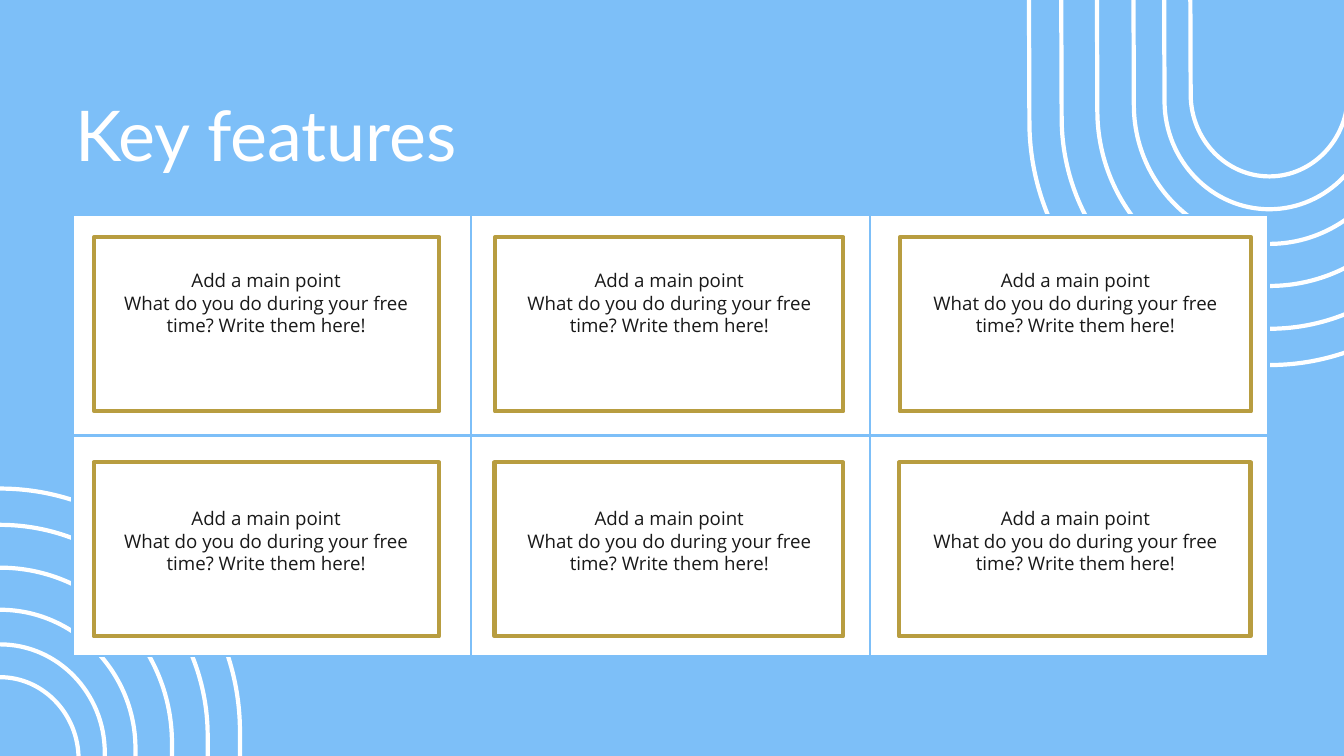
"""Build the "Key features" slide: six framed points on a grid between two sets of arches."""
from lxml.etree import SubElement
from pptx import Presentation
from pptx.dml.color import RGBColor
from pptx.enum.shapes import MSO_SHAPE
from pptx.enum.text import MSO_AUTO_SIZE, PP_ALIGN
from pptx.oxml import parse_xml
from pptx.oxml.ns import nsdecls, qn
from pptx.util import Cm, Pt

THEME = {
    "sky": "7DBFF8",
    "white": "FFFFFF",
    "gold": "B89D40",
    "line": Pt(4.5),
    "title": {
        "color": "FFFFFF",
        "inset": Cm(0),
        "font": {"name": "Lato", "size": Pt(75)},
        "para": {"line_spacing": 1.2, "alignment": PP_ALIGN.LEFT},
    },
    "point": {
        "color": "191919",
        "inset": Cm(0.25),
        "font": {"name": "Open Sans", "size": Pt(20)},
        "para": {"alignment": PP_ALIGN.CENTER},
    },
}
POINT = ["Add a main point", "What do you do during your free time? Write them here!"]


def write(place, lines, style):
    """Add a text box at a place in cm, with one paragraph per line."""
    frame = slide.shapes.add_textbox(*map(Cm, place)).text_frame
    pad = style["inset"]
    form = {"word_wrap": True, "auto_size": MSO_AUTO_SIZE.SHAPE_TO_FIT_TEXT}
    form |= {f"margin_{side}": pad for side in ("left", "top", "right", "bottom")}
    for key, value in form.items():
        setattr(frame, key, value)
    frame.text = "\n".join(lines)
    for para in frame.paragraphs:
        for key, value in style["para"].items():
            setattr(para, key, value)
        font = para.runs[0].font
        for key, value in style["font"].items():
            setattr(font, key, value)
        font.color.rgb = RGBColor.from_string(style["color"])


def trace(shape, color):
    """Leave a shape unfilled, with a plain outline and round corners."""
    shape.shadow.inherit = False
    shape.fill.background()
    shape.line.color.rgb = RGBColor.from_string(color)
    shape.line.width = THEME["line"]
    SubElement(shape.line._get_or_add_ln(), qn("a:round"))


deck = Presentation()
deck.slide_width, deck.slide_height = Cm(50.8), Cm(28.58)
slide = deck.slides.add_slide(deck.slide_layouts[6])
back = slide.background.fill
back.solid()
back.fore_color.rgb = RGBColor.from_string(THEME["sky"])

write((2.84, 2.82, 15.85, 3.2), ["Key features"], THEME["title"])

ARCHES = [(9.07, 14.75), (7.85, 13.38), (6.5, 11.76), (5.12, 10.17), (3.96, 8.86), (2.97, 7.62)]
ROUND = 0.45
for mid, base, turn in [(0, 33.22, 180), (47.96, -0.95, 359.8)]:
    for radius, half in ARCHES:
        left, right, top, low = map(Cm, (mid - radius, mid + radius, base - half, base + half))
        pen = slide.shapes.build_freeform(left, top)
        pen.add_line_segments([(right, top), (right, low), (left, low)], close=True)
        arch = pen.convert_to_shape()
        arch.rotation = turn
        trace(arch, THEME["white"])

        wide, tall, drop = 2 * radius, 2 * half, radius + 0.13
        bend, knee, pull = tall - drop, tall - ROUND * drop, ROUND * radius
        route = [
            ("moveTo", [(0, 0)]),
            ("lnTo", [(wide, 0)]),
            ("lnTo", [(wide, bend)]),
            ("cubicBezTo", [(wide, knee), (wide - pull, tall), (radius, tall)]),
            ("cubicBezTo", [(pull, tall), (0, knee), (0, bend)]),
            ("close", []),
        ]
        track = arch._element.find(f".//{qn('a:path')}")
        del track[:]
        for move, spots in route:
            step = SubElement(track, qn(f"a:{move}"))
            for x, y in spots:
                SubElement(step, qn("a:pt"), x=str(int(Cm(x))), y=str(int(Cm(y))))

grid = slide.shapes.add_table(2, 3, Cm(2.74), Cm(8.13), Cm(45.21), Cm(16.66)).table
for cell in grid.iter_cells():
    cell.fill.solid()
    cell.fill.fore_color.rgb = RGBColor.from_string(THEME["white"])
    for spot, side in enumerate("LRTB"):
        edge = parse_xml(
            f'<a:ln{side} {nsdecls("a")} w="{Pt(3)}"><a:solidFill>'
            f'<a:srgbClr val="{THEME["sky"]}"/></a:solidFill></a:ln{side}>'
        )
        cell._tc.get_or_add_tcPr().insert(spot, edge)

FRAMES = [(3.56, 13.05), (18.71, 13.17), (34.01, 13.28)]
for top, shift in [(8.97, 0), (17.48, 0.02)]:
    for left, width in FRAMES:
        frame = slide.shapes.add_shape(
            MSO_SHAPE.RECTANGLE, Cm(left - shift), Cm(top), Cm(width), Cm(6.58)
        )
        trace(frame, THEME["gold"])

for top in (9.93, 18.93):
    for left in (4.28, 19.52, 34.87):
        write((left, top, 11.56, 3.68), POINT, THEME["point"])

deck.save("out.pptx")
